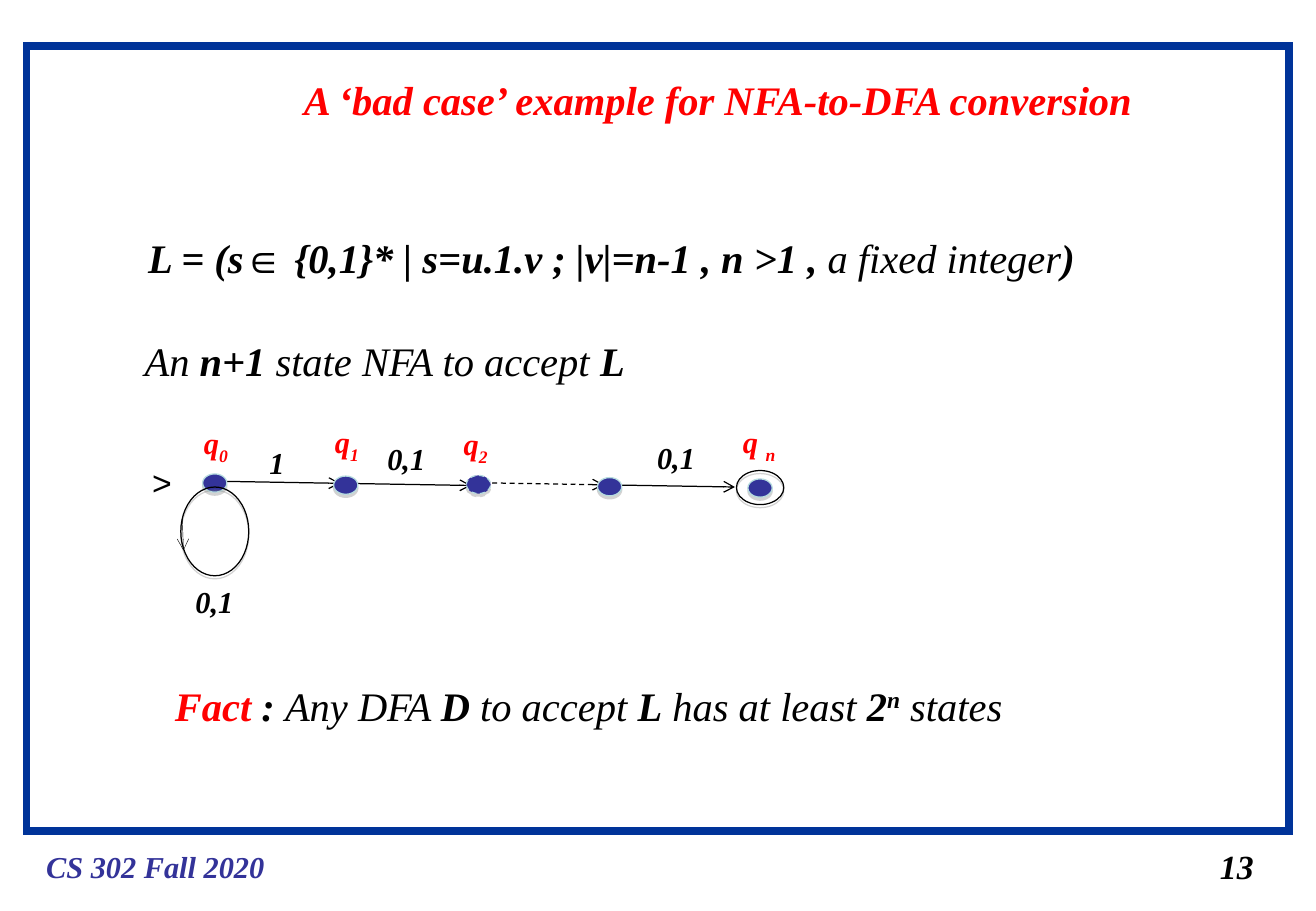
from collections import namedtuple
from dataclasses import dataclass

from lxml.etree import SubElement
from pptx import Presentation
from pptx.dml.color import RGBColor
from pptx.enum.dml import MSO_LINE
from pptx.enum.shapes import MSO_CONNECTOR, MSO_SHAPE
from pptx.enum.text import MSO_ANCHOR, MSO_AUTO_SIZE, PP_ALIGN
from pptx.oxml.ns import qn
from pptx.util import Pt


@dataclass(frozen=True)
class Theme:
    """Colours, fonts and type sizes of the slide."""

    black: str = "000000"
    red: str = "FF0000"
    frame: str = "003399"
    indigo: str = "333399"
    state_line: str = "B6DCDF"
    shadow: str = "808080"
    serif: str = "Times New Roman"
    sans: str = "Arial"
    heading: int = 24
    number: int = 20
    label: int = 18


THEME = Theme()
Box = namedtuple("Box", "left top width height")


@dataclass(frozen=True)
class Run:
    """A stretch of text with one format."""

    text: str
    bold: bool = True
    italic: bool = True
    color: str = THEME.black
    font: str = THEME.serif
    baseline: int = 0


def write_runs(shape, runs, size, line_spacing=1.0):
    """Write the runs as the single paragraph of a shape."""
    frame = shape.text_frame
    frame.word_wrap = False
    frame.auto_size = MSO_AUTO_SIZE.NONE
    frame.vertical_anchor = MSO_ANCHOR.TOP
    frame.margin_left = frame.margin_right = Pt(7.2)
    frame.margin_top = frame.margin_bottom = Pt(3.6)
    paragraph = frame.paragraphs[0]
    paragraph.alignment = PP_ALIGN.LEFT
    paragraph.line_spacing = line_spacing
    paragraph.space_before = Pt(0)
    for part in runs:
        run = paragraph.add_run()
        run.text = part.text
        run.font.name = part.font
        run.font.size = Pt(size)
        run.font.bold = part.bold
        run.font.italic = part.italic
        run.font.color.rgb = RGBColor.from_string(part.color)
        if part.baseline:
            run._r.get_or_add_rPr().set("baseline", str(part.baseline * 1000))


def add_text(slide, box, runs, size, line_spacing=1.0):
    """Add a text box holding one line of runs."""
    shape = slide.shapes.add_textbox(*map(Pt, box))
    write_runs(shape, runs, size, line_spacing)


def add_outline(slide, kind, box, color, width, fill=None):
    """Add an outlined shape without a shadow, optionally filled."""
    shape = slide.shapes.add_shape(kind, *map(Pt, box))
    shape.shadow.inherit = False
    shape.line.color.rgb = RGBColor.from_string(color)
    shape.line.width = Pt(width)
    if fill:
        shape.fill.solid()
        shape.fill.fore_color.rgb = RGBColor.from_string(fill)
    else:
        shape.fill.background()
    return shape


def add_ellipse(slide, center_x, center_y, width, height, color, fill=None):
    """Add an ellipse around a centre with a short shadow below it."""
    box = Box(center_x - width / 2, center_y - height / 2, width, height)
    shape = add_outline(slide, MSO_SHAPE.OVAL, box, color, 0.75, fill)
    effects = shape._element.spPr.find(qn("a:effectLst"))
    shadow = SubElement(effects, qn("a:outerShdw"), dist=str(Pt(1.8)), dir="5400000",
                        algn="ctr", rotWithShape="0")
    color_element = SubElement(shadow, qn("a:srgbClr"), val=THEME.shadow)
    SubElement(color_element, qn("a:alpha"), val="35000")
    return shape


def add_arrow(slide, start, end, width=0.75, dashed=False):
    """Add a straight line with an open arrowhead at its end."""
    arrow = slide.shapes.add_connector(MSO_CONNECTOR.STRAIGHT, *map(Pt, (*start, *end)))
    arrow.line.color.rgb = RGBColor.from_string(THEME.black)
    arrow.line.width = Pt(width)
    if dashed:
        arrow.line.dash_style = MSO_LINE.DASH
    SubElement(arrow.line._get_or_add_ln(), qn("a:tailEnd"), type="arrow")
    SubElement(arrow._element.spPr, qn("a:effectLst"))


def add_frame(slide, box):
    """Draw the blue border with the course and the page number below it."""
    border = add_outline(slide, MSO_SHAPE.RECTANGLE, box, THEME.frame, 4.5)
    SubElement(border.line._get_or_add_ln(), qn("a:miter"), lim="800000")
    bottom = box.top + box.height
    add_text(slide, Box(box.left + 4.5, bottom + 6.5, 144, 28.8),
             [Run("CS 302 Fall 2020", color=THEME.indigo)], THEME.label)
    add_text(slide, Box(box.left + box.width - 48.2, bottom + 5.5, 34.6, 31.7),
             [Run("13")], THEME.number)


def add_title(slide, box):
    """Place the title in its placeholder."""
    title = slide.shapes.title
    title.left, title.top, title.width, title.height = map(Pt, box)
    write_runs(title, [Run("A ‘bad case’ example for NFA-to-DFA conversion", color=THEME.red)],
               THEME.heading)


def add_statements(slide, box):
    """Place the language, the claim on its NFA and the fact on any DFA."""
    language = [Run("L = (s"), Run("∈", font=THEME.sans),
                Run(" {0,1}* | s=u.1.v ; |v|=n-1 , n >1 , "),
                Run("a fixed integer", bold=False), Run(")")]
    claim = [Run("An ", bold=False), Run("n+1"),
             Run(" state NFA to accept ", bold=False), Run("L")]
    fact = [Run("Fact", color=THEME.red), Run(" : "), Run("Any DFA ", bold=False), Run("D"),
            Run(" to accept ", bold=False), Run("L"), Run(" has at least ", bold=False),
            Run("2"), Run("n", baseline=30), Run(" states", bold=False)]
    for left, top, width, runs in ((2, 0, 569.5, language), (0, 60.8, 302.4, claim),
                                   (18, 265.2, 508.3, fact)):
        add_text(slide, Box(box.left + left, box.top + top, width, 50.4),
                 runs, THEME.heading, 1.5)


def add_automaton(slide, box):
    """Draw the NFA as a chain of states with a loop on the first one."""
    def at(left, top):
        return box.left + left, box.top + top

    states = [at(44.3, 39), at(122, 40.3), at(200.7, 39.9), at(278.5, 41.2), at(367.7, 42)]
    final = len(states) - 1
    for index, (x, y) in enumerate(states):
        dashed = index == 2
        if index < final:
            add_arrow(slide, (x + 3, y - 1), (x + 74.3, y + 0.2), dashed=dashed)
        else:
            add_ellipse(slide, x, y - 0.3, 28.1, 20.2, THEME.black)
        state = add_ellipse(slide, x, y, 14.4, 10.8, THEME.state_line, THEME.indigo)
        if dashed:
            state.line.dash_style = MSO_LINE.DASH

    add_ellipse(slide, *at(44.3, 67.7), 40.3, 52.6, THEME.black)
    add_arrow(slide, at(25, 59.5), at(25.7, 79), 0.25)
    add_text(slide, Box(*at(0, 23), 25.9, 31.7),
             [Run(">", bold=False, italic=False, font=THEME.sans)], THEME.number)

    for left, top, symbols in ((25.7, 95, "0,1"), (69.6, 12.2, "1"),
                               (139.5, 10, "0,1"), (299.5, 9.3, "0,1")):
        width = 36.7 if len(symbols) > 1 else 29.5
        add_text(slide, Box(*at(left, top), width, 28.8), [Run(symbols)], THEME.label)
    for left, top, width, name, index in ((30.8, 0.7, 28.8, "q", "0"), (108.5, 0, 36.7, "q", "1"),
                                          (184.8, 1.4, 38.9, "q", "2"), (350.4, 0, 33.8, "q ", "n")):
        add_text(slide, Box(*at(left, top), width, 31.7),
                 [Run(name, color=THEME.red), Run(index, color=THEME.red, baseline=-25)],
                 THEME.label)


def main():
    """Build the slide and save it."""
    presentation = Presentation()
    presentation.slide_width = Pt(780.48)
    presentation.slide_height = Pt(540)
    slide = presentation.slides.add_slide(presentation.slide_layouts[5])
    add_frame(slide, Box(15.8, 27.4, 748.8, 465.1))
    add_title(slide, Box(173, 41, 514.1, 36))
    add_statements(slide, Box(78.7, 120.3, 600, 316))
    add_automaton(slide, Box(83.1, 247.3, 390, 125))
    presentation.save("out.pptx")


if __name__ == "__main__":
    main()
